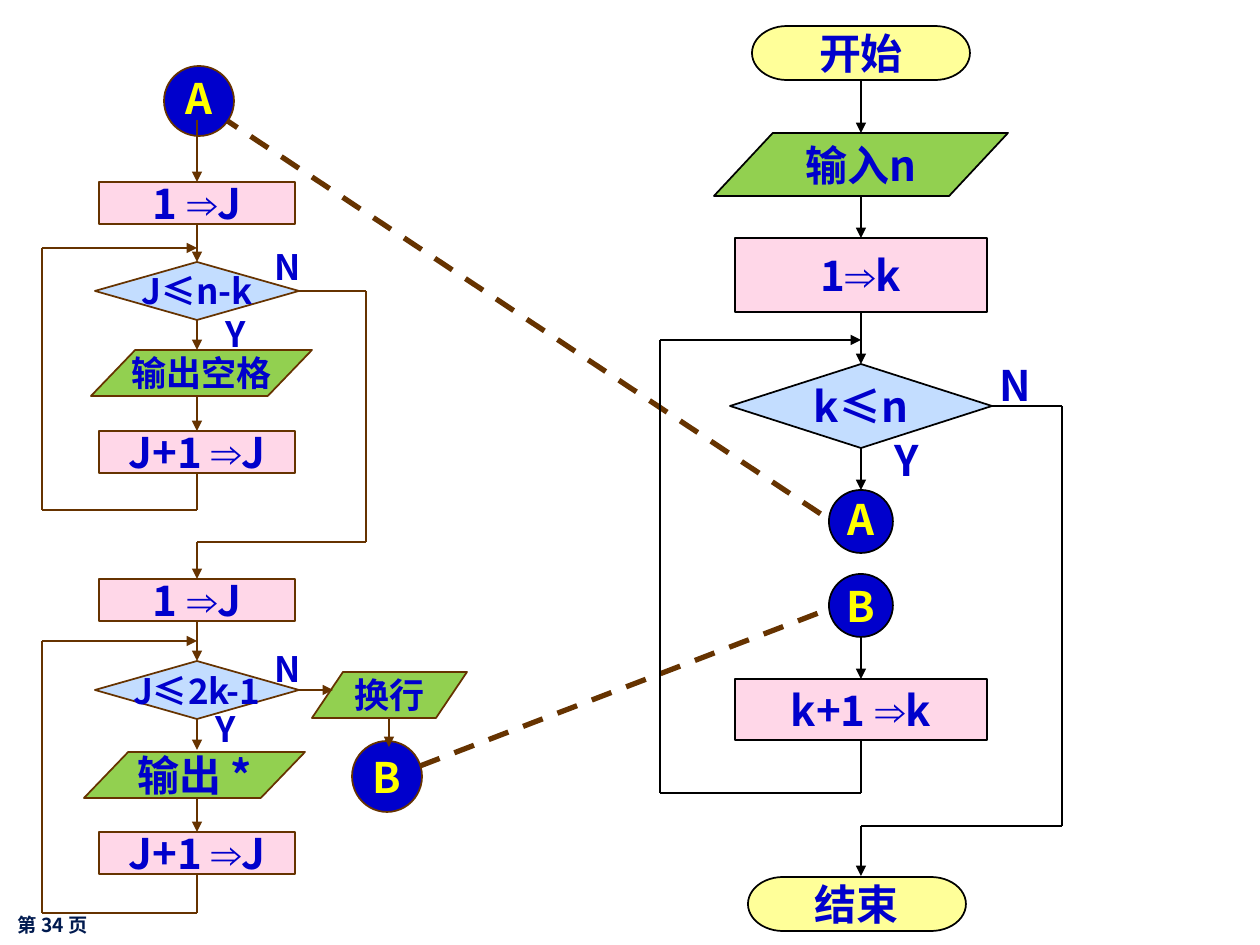
from itertools import pairwise

from lxml import etree
from pptx import Presentation
from pptx.dml.color import RGBColor
from pptx.enum.dml import MSO_LINE
from pptx.enum.shapes import MSO_CONNECTOR, MSO_SHAPE
from pptx.enum.text import MSO_ANCHOR, PP_ALIGN
from pptx.oxml.ns import qn
from pptx.util import Pt

PX = 914400 // 126
STRAIGHT = MSO_CONNECTOR.STRAIGHT
DASH = MSO_LINE.DASH
MIDDLE, TOP = MSO_ANCHOR.MIDDLE, MSO_ANCHOR.TOP
CENTER, LEFT = PP_ALIGN.CENTER, PP_ALIGN.LEFT

FONT, SIGN_FONT = "Noto Sans CJK SC", "Arial"
SIGN = "⇒"
BLACK = RGBColor(0x00, 0x00, 0x00)
BROWN = RGBColor(0x66, 0x33, 0x00)
BLUE = RGBColor(0x00, 0x00, 0xCC)
NAVY = RGBColor(0x00, 0x1A, 0x4F)
YELLOW = RGBColor(0xFF, 0xFF, 0x00)
CREAM = RGBColor(0xFF, 0xFF, 0x99)
GREEN = RGBColor(0x92, 0xD0, 0x50)
PINK = RGBColor(0xFF, 0xD7, 0xE8)
SKY = RGBColor(0xC3, 0xDD, 0xFF)

# kind: preset, fill, text colour
KINDS = {
    "end": (MSO_SHAPE.FLOWCHART_TERMINATOR, CREAM, BLUE),
    "io": (MSO_SHAPE.FLOWCHART_DATA, GREEN, BLUE),
    "step": (MSO_SHAPE.FLOWCHART_PROCESS, PINK, BLUE),
    "test": (MSO_SHAPE.FLOWCHART_DECISION, SKY, BLUE),
    "jump": (MSO_SHAPE.FLOWCHART_CONNECTOR, BLUE, YELLOW),
}
FOUR_SIDED = ("end", "step", "test")

# Each flow: line colour; nodes (kind, text, points, left, top, width, height);
# routes (corner points, arrow at the end); labels (text, points, left, top)
INNER = {
    "color": BROWN,
    "nodes": [
        ("jump", "A", 24, 164, 66, 70, 70),
        ("step", "1 ⇒J", 24, 99, 182, 196, 42),
        ("test", "J≤n-k", 20, 95, 262, 204, 58),
        ("io", "输出空格", 20, 91, 350, 221, 46),
        ("step", "J+1 ⇒J", 24, 99, 431, 196, 42),
        ("step", "1 ⇒J", 24, 99, 579, 196, 42),
        ("test", "J≤2k-1", 20, 95, 661, 204, 58),
        ("io", "输出 *", 24, 84, 752, 221, 46),
        ("step", "J+1 ⇒J", 24, 99, 832, 196, 42),
        ("jump", "B", 24, 352, 741, 70, 71),
        ("io", "换行", 20, 312, 672, 155, 46),
    ],
    "routes": [
        [(197, 120), (197, 182)],
        [(197, 224), (197, 262)],
        [(197, 320), (197, 350)],
        [(197, 396), (197, 431)],
        [(197, 473), (197, 510), (42, 510), (42, 248), (197, 248)],
        [(299, 291), (366, 291), (366, 542), (197, 542), (197, 579)],
        [(197, 621), (197, 661)],
        [(197, 719), (197, 750)],
        [(197, 798), (197, 832)],
        [(197, 874), (197, 913), (42, 913), (42, 641), (197, 641)],
        [(299, 690), (333, 690)],
        [(389, 718), (389, 747)],
    ],
    "labels": [("Y", 20, 213, 306), ("N", 20, 262, 239),
               ("Y", 20, 203, 701), ("N", 20, 262, 641)],
}
OUTER = {
    "color": BLACK,
    "nodes": [
        ("end", "开始", 24, 752, 26, 218, 54),
        ("io", "输入n", 24, 714, 133, 294, 63),
        ("step", "1⇒k", 24, 735, 238, 252, 74),
        ("test", "k≤n", 24, 730, 364, 262, 84),
        ("jump", "A", 24, 829, 490, 64, 63),
        ("jump", "B", 24, 829, 574, 64, 63),
        ("step", "k+1 ⇒k", 24, 735, 679, 252, 61),
        ("end", "结束", 24, 748, 877, 218, 54),
    ],
    "routes": [
        [(861, 80), (861, 133)],
        [(861, 196), (861, 238)],
        [(861, 312), (861, 364)],
        [(861, 448), (861, 490)],
        [(861, 637), (861, 679)],
        [(861, 740), (861, 793), (660, 793), (660, 340), (861, 340)],
        [(992, 406), (1062, 406), (1062, 826), (861, 826), (861, 876)],
    ],
    "labels": [("Y", 24, 882, 428), ("N", 24, 987, 353)],
}
JUMPS = [((220, 116), (848, 532)), ((420, 766), (829, 609))]
PAGE = ("第 34 页", 11, 5, 901, 336, 48)


def write(shape, text, size, color, align=LEFT, anchor=TOP, wrap=True):
    """Fill the shape with bold text, giving each arrow sign its own font."""
    frame = shape.text_frame
    frame.word_wrap, frame.vertical_anchor = wrap, anchor
    para = frame.paragraphs[0]
    para.alignment = align
    if text == "A":
        para.line_spacing = 0.9
    for part in filter(None, text.partition(SIGN)):
        run = para.add_run()
        run.text = part
        font = run.font
        font.size, font.bold = Pt(size), True
        font.color.rgb = color
        font.name = SIGN_FONT if part == SIGN else FONT
        etree.SubElement(run._r.rPr, qn("a:ea"), typeface=font.name)


def add_node(slide, node, color):
    kind, text, size, *box = node
    preset, fill, ink = KINDS[kind]
    shape = slide.shapes.add_shape(preset, *(n * PX for n in box))
    shape.shadow.inherit = False
    shape.fill.solid()
    shape.fill.fore_color.rgb = fill
    shape.line.color.rgb = color
    shape.line.width = Pt(1)
    write(shape, text, size, ink, CENTER, MIDDLE, False)
    return shape


def add_label(slide, text, size, color, box, anchor=TOP):
    shape = slide.shapes.add_textbox(*(n * PX for n in box))
    write(shape, text, size, color, anchor=anchor)


def add_line(slide, start, end, color, width=1, arrow=False):
    line = slide.shapes.add_connector(
        STRAIGHT, *(n * PX for n in (*start, *end)))
    line.line.color.rgb = color
    line.line.width = Pt(width)
    if arrow:
        etree.SubElement(line.line._get_or_add_ln(), qn("a:tailEnd"),
                         type="triangle")
    etree.SubElement(line._element.spPr, qn("a:effectLst"))
    return line


def side_points(left, top, width, height):
    """Side middles in connection order: top, left, bottom, right."""
    mid, row = left + width // 2, top + height // 2
    return [(mid, top), (left, row), (mid, top + height), (left + width, row)]


def add_flow(slide, flow):
    color, ports = flow["color"], {}
    for node in flow["nodes"]:
        shape = add_node(slide, node, color)
        if node[0] in FOUR_SIDED:
            for site, point in enumerate(side_points(*node[3:])):
                ports[point] = (shape, site)
    for route in flow["routes"]:
        for start, end in pairwise(route):
            line = add_line(slide, start, end, color, arrow=end == route[-1])
            if start in ports:
                line.begin_connect(*ports[start])
            if end in ports:
                line.end_connect(*ports[end])
    for text, size, left, top in flow["labels"]:
        add_label(slide, text, size, BLUE, (left, top, 3 * size + 6, 60))


def main():
    deck = Presentation()
    deck.slide_width, deck.slide_height = 1260 * PX, 945 * PX
    slide = deck.slides.add_slide(deck.slide_layouts[6])
    text, size, *box = PAGE
    add_label(slide, text, size, NAVY, box, MIDDLE)
    for start, end in JUMPS:
        add_line(slide, start, end, BROWN, 3).line.dash_style = DASH
    for flow in (INNER, OUTER):
        add_flow(slide, flow)
    deck.save("out.pptx")


if __name__ == "__main__":
    main()
